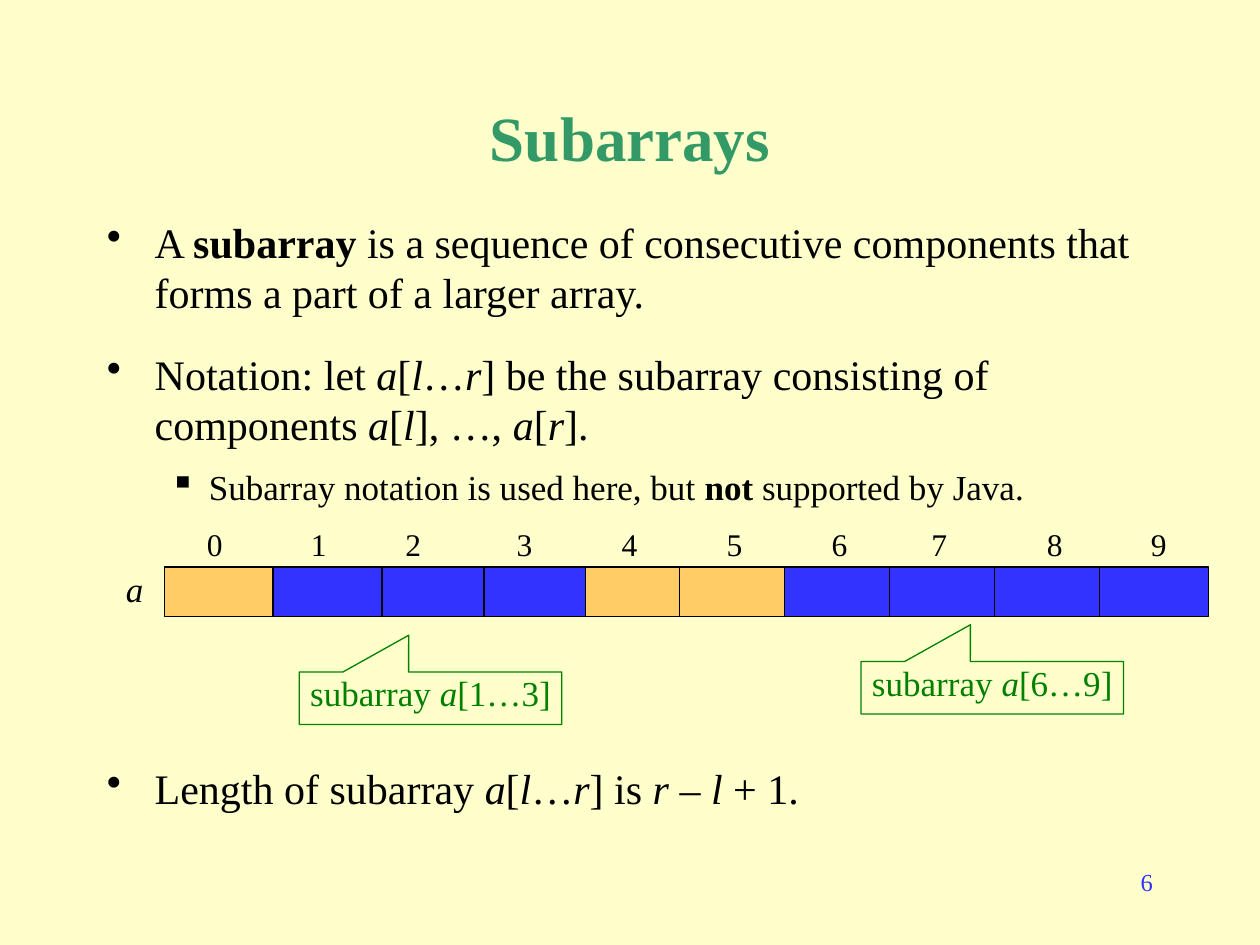
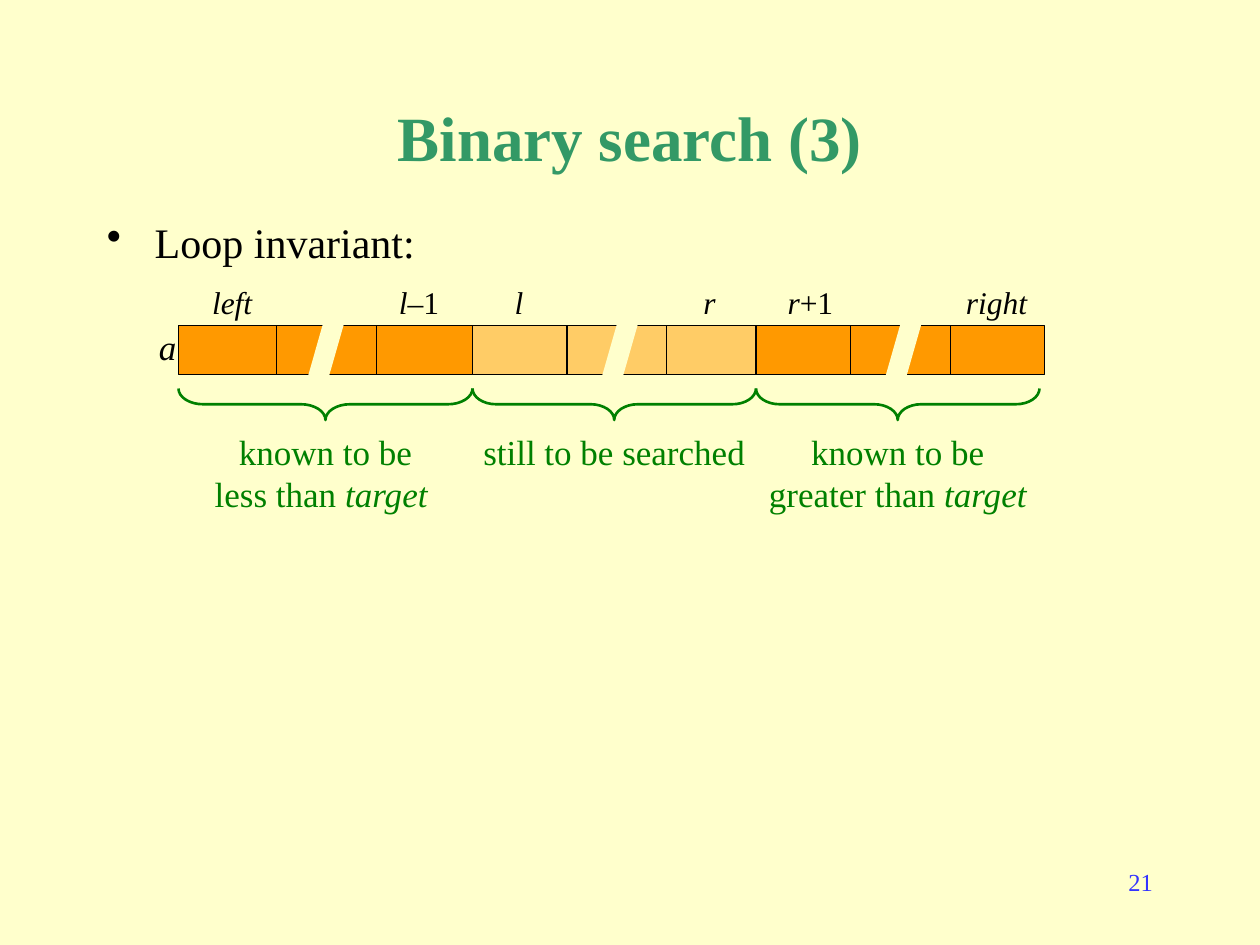
from math import cos, pi, sin

from lxml import etree
from pptx import Presentation
from pptx.dml.color import RGBColor
from pptx.enum.shapes import MSO_SHAPE
from pptx.enum.text import MSO_ANCHOR, PP_ALIGN
from pptx.oxml.ns import qn
from pptx.util import Inches, Pt

CREAM = RGBColor(0xFF, 0xFF, 0xCC)
TEAL = RGBColor(0x33, 0x99, 0x66)
GREEN = RGBColor(0x00, 0x80, 0x00)
BLUE = RGBColor(0x33, 0x33, 0xFF)
BLACK = RGBColor(0x00, 0x00, 0x00)
PEACH = RGBColor(0xFF, 0xCC, 0x66)
ORANGE = RGBColor(0xFF, 0x99, 0x00)
FONT = "Times New Roman"
RECT = MSO_SHAPE.RECTANGLE
WEDGE = MSO_SHAPE.RECTANGULAR_CALLOUT
LEFT, CENTER, RIGHT = PP_ALIGN.LEFT, PP_ALIGN.CENTER, PP_ALIGN.RIGHT
TOP, MIDDLE = MSO_ANCHOR.TOP, MSO_ANCHOR.MIDDLE
WIDE, HIGH = Inches(10), Inches(7.5)
COLS = 120
UNIT = WIDE / COLS
CELL_H = 4.7
BULLETS = [("•", 0.38, 0.38, 18, 24), ("▪", 0.81, 0.31, 9, 20)]


def grid(*cells):
    return [round(cell * UNIT) for cell in cells]


def write(para, text, size, color, bold=False, mark="italic"):
    for row, line in enumerate(text.split("\n")):
        if row:
            para.add_line_break()
        for part, words in enumerate(line.split("*")):
            if not words:
                continue
            run = para.add_run()
            run.text = words
            font = run.font
            font.name, font.size, font.bold = FONT, Pt(size), bold
            font.color.rgb = color
            if part % 2:
                setattr(font, mark, True)


def add_text(slide, box, text, size, color=BLACK, align=LEFT, wrap=True):
    frame = slide.shapes.add_textbox(*grid(*box)).text_frame
    frame.word_wrap = wrap
    frame.margin_left = frame.margin_right = 0
    frame.margin_top = frame.margin_bottom = 0
    para = frame.paragraphs[0]
    para.alignment = align
    write(para, text, size, color)


def add_list(slide, box, items):
    frame = slide.shapes.add_textbox(*grid(*box)).text_frame
    frame.word_wrap = True
    for row, (level, text, mark) in enumerate(items):
        para = frame.add_paragraph() if row else frame.paragraphs[0]
        sign, margin, hang, gap, size = BULLETS[level]
        para.level = level
        if row:
            para.space_before = Pt(gap)
        props = para._p.get_or_add_pPr()
        props.set("marL", str(Inches(margin)))
        props.set("indent", str(-Inches(hang)))
        tint = etree.SubElement(props, qn("a:buClr"))
        etree.SubElement(tint, qn("a:srgbClr")).set("val", str(BLACK))
        etree.SubElement(props, qn("a:buChar")).set("char", sign)
        write(para, text, size, BLACK, mark=mark)


def paint(shape, fill=None, line=None, width=0.75):
    shape.shadow.inherit = False
    if fill is None:
        shape.fill.background()
    else:
        shape.fill.solid()
        shape.fill.fore_color.rgb = fill
    if line is None:
        shape.line.fill.background()
    else:
        shape.line.color.rgb = line
        shape.line.width = Pt(width)


def add_cell(slide, left, top, width, fill):
    box = grid(left, top, width, CELL_H)
    paint(slide.shapes.add_shape(RECT, *box), fill, BLACK)


def add_note(slide, left, top, text):
    note = slide.shapes.add_shape(WEDGE, *grid(left, top, 25, 5))
    note.adjustments[0], note.adjustments[1] = -0.083, -1.2
    paint(note, line=GREEN)
    frame = note.text_frame
    frame.word_wrap = True
    frame.vertical_anchor = TOP
    frame.margin_left = frame.margin_right = Inches(0.04)
    frame.margin_top = frame.margin_bottom = 0
    para = frame.paragraphs[0]
    para.alignment = CENTER
    write(para, text, 20, GREEN)


def draw(slide, points, close):
    spots = [grid(*point) for point in points]
    pen = slide.shapes.build_freeform(*spots[0], scale=1.0)
    pen.add_line_segments(spots[1:], close=close)
    return pen.convert_to_shape()


def add_brace(slide, left, top, width):
    bend, drop = width / 12, 1.5
    turns = [step * pi / 16 for step in range(9)]
    half = [(bend * (1 - cos(t)), drop * sin(t)) for t in turns]
    half += [(width / 2 - x, 2 * drop - y) for x, y in reversed(half)]
    whole = half + [(width - x, y) for x, y in reversed(half[:-1])]
    points = [(left + x, top + y) for x, y in whole]
    paint(draw(slide, points, False), line=GREEN, width=1.5)


def add_slash(slide, left, top):
    points = [(left + 2, top), (left + 4, top), (left + 2, top + 7), (left, top + 7)]
    paint(draw(slide, points, True), CREAM)


def add_slide(deck, title, number):
    slide = deck.slides.add_slide(deck.slide_layouts[5])
    slide.background.fill.solid()
    slide.background.fill.fore_color.rgb = CREAM
    head = slide.shapes.title
    head.left, head.top, head.width, head.height = grid(9, 8, 102, 10)
    head.text_frame.vertical_anchor = MIDDLE
    para = head.text_frame.paragraphs[0]
    para.alignment = CENTER
    write(para, title, 36, TEAL, bold=True)
    add_text(slide, (87.2, 82.6, 22.6, 4.8), number, 14, BLUE, RIGHT)
    return slide


def subarrays(deck):
    slide = add_slide(deck, "Subarrays", "6")
    add_list(slide, (9, 20, 102, 30), [
        (0, "A *subarray* is a sequence of consecutive components that "
            "forms a part of a larger array.", "bold"),
        (0, "Notation: let *a*[*l*…*r*] be the subarray consisting of "
            "components *a*[*l*], …, *a*[*r*].", "italic"),
        (1, "Subarray notation is used here, but *not* supported by Java.", "bold"),
    ])
    add_list(slide, (9, 72, 102, 8), [
        (0, "Length of subarray *a*[*l*…*r*] is *r *– *l* + 1.", "italic"),
    ])
    marks = [19.7, 29.6, 38.6, 49.2, 59.2, 69.2, 79.2, 88.7, 99.7, 109.6]
    for index, left in enumerate(marks):
        add_text(slide, (left, 50, 1.5, 3.6), str(index), 18, wrap=False)
    add_text(slide, (12, 54, 1.7, 4), "*a*", 20, wrap=False)
    lefts = [15.7] + [26 + 9.7 * i for i in range(3)]
    lefts += [54.7 + 10 * i for i in range(6)]
    for index in (0, 4, 5, 6, 7, 8, 9, 3, 2, 1):
        fill = PEACH if index in (0, 4, 5) else BLUE
        add_cell(slide, lefts[index], 54, 10.4, fill)
    add_note(slide, 82, 63, "subarray *a*[6…9]")
    add_note(slide, 28.5, 64, "subarray *a*[1…3]")


def search(deck):
    slide = add_slide(deck, "Binary search (3)", "21")
    add_list(slide, (9, 20, 102, 60), [(0, "Loop invariant:", "italic")])
    labels = [
        (20.2, 3.9, "*left*"), (38, 3.9, "*l*–1"), (49, 0.8, "*l*"),
        (67, 1.2, "*r*"), (75, 4.4, "*r*+1"), (92, 5.9, "*right*"),
    ]
    for left, width, text in labels:
        add_text(slide, (left, 27, width, 3.6), text, 18, wrap=False)
    add_text(slide, (14.2, 31, 2.6, 4), "*a*", 20, align=RIGHT)
    parts = [
        (17, 28, ORANGE, "known to be\nless than *target *"),
        (45, 27, PEACH, "still to be searched"),
        (72, 27, ORANGE, "known to be\ngreater than *target *"),
    ]
    for left, width, fill, text in parts:
        for index in (2, 0, 1):
            add_cell(slide, left + index * width / 3, 31, 9.5, fill)
        add_brace(slide, left, 37, width)
        high = 4 * len(text.split("\n"))
        add_text(slide, (left + 1, 41, width - 2, high), text, 20, GREEN, CENTER)
    for left, *_ in parts:
        add_slash(slide, left + 12, 30)


def main():
    deck = Presentation()
    deck.slide_width, deck.slide_height = WIDE, HIGH
    subarrays(deck)
    search(deck)
    deck.save("out.pptx")


if __name__ == "__main__":
    main()
